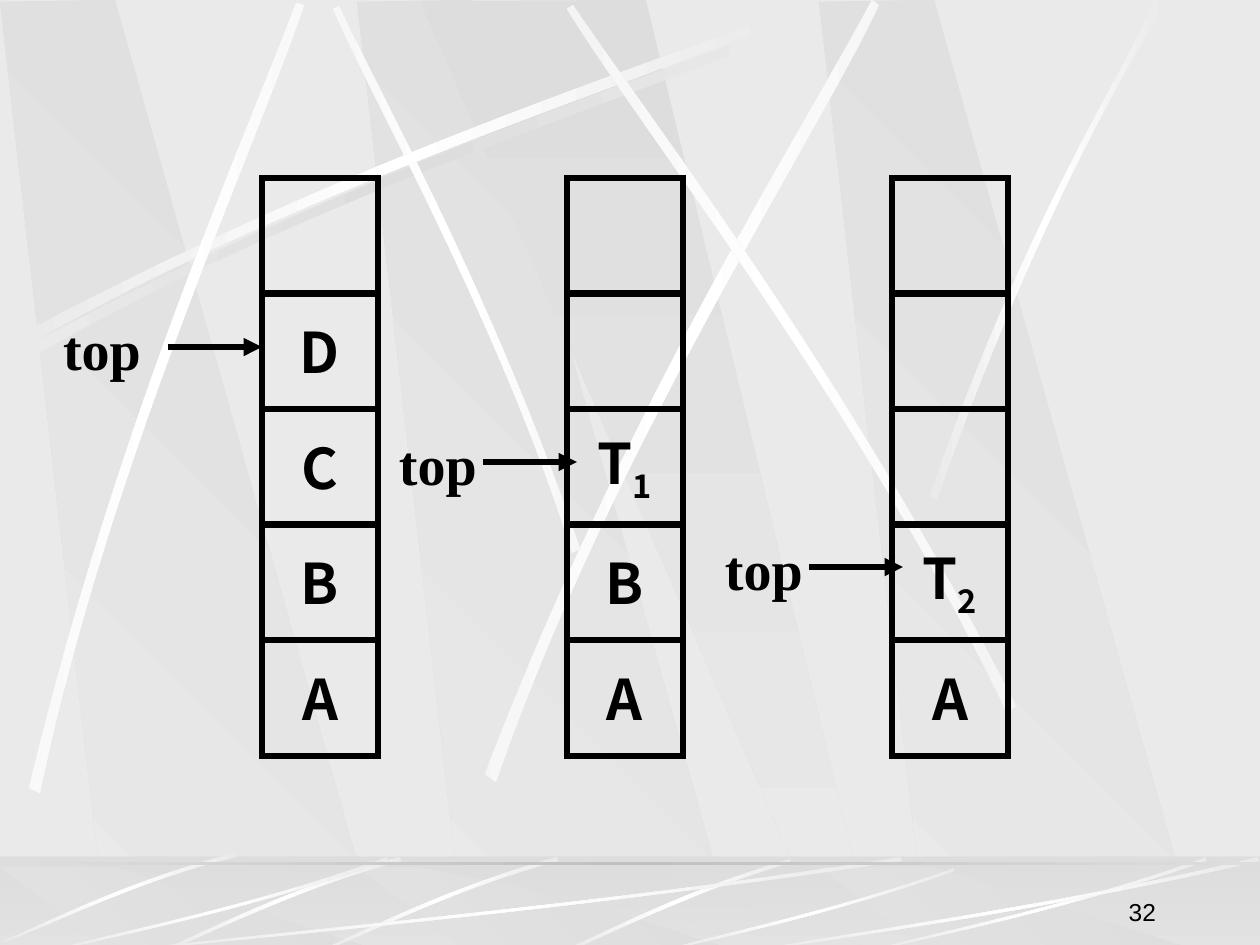
from math import cos, radians, sin

from lxml import etree
from pptx import Presentation
from pptx.dml.color import RGBColor
from pptx.enum.shapes import MSO_CONNECTOR, MSO_SHAPE
from pptx.enum.text import MSO_ANCHOR, PP_ALIGN
from pptx.oxml.ns import qn
from pptx.util import Emu, Pt

RECTANGLE = MSO_SHAPE.RECTANGLE
STRAIGHT = MSO_CONNECTOR.STRAIGHT
LEFT, CENTER, RIGHT = PP_ALIGN.LEFT, PP_ALIGN.CENTER, PP_ALIGN.RIGHT
TOP, MIDDLE, BOTTOM = MSO_ANCHOR.TOP, MSO_ANCHOR.MIDDLE, MSO_ANCHOR.BOTTOM

PX = 914400 / 126
SLIDE_WIDTH, SLIDE_HEIGHT = 1260, 945
BLACK = RGBColor(0x00, 0x00, 0x00)
WHITE = RGBColor(0xFF, 0xFF, 0xFF)
PALE = RGBColor(0xEA, 0xEA, 0xEA)
SHADE = RGBColor(0xDD, 0xDD, 0xDD)
EDGE = RGBColor(0xC0, 0xC0, 0xC0)
LETTER_FONT, LABEL_FONT, NUMBER_FONT = "Noto Sans CJK SC", "Times New Roman", "Arial"
LINE_WIDTH = Pt(3.5)

PANEL_SHIFTS = (357, 0, 819)
WALL_PANEL = [(108, 945), (381, 947), (115, 0), (0, 2)]
WALL_WEDGE = [(420, 1), (829, 946), (874, 946), (646, 0)]
FLOOR_PANEL = [(108, 950), (381, 951), (115, 867), (0, 867)]
FLOOR_WEDGE = [(420, 867), (829, 950), (874, 950), (646, 867)]

BEAM_SHADOW = [(25, 347), (358, 169), (660, 74), (789, 23),
               (793, 30), (665, 87), (320, 190), (29, 359)]
WALL_BEAMS = [
    (45, [(580, 549), (493, 295), (381, 97), (339, 6),
          (333, 9), (372, 100), (501, 325), (572, 553)]),
    (0, [(18, 336), (350, 158), (653, 64), (781, 13),
         (785, 20), (658, 77), (312, 180), (21, 349)]),
    (311.7, [(29, 788), (117, 421), (248, 132), (296, 3),
             (304, 5), (261, 136), (108, 464), (40, 793)]),
    (321.6, [(485, 774), (627, 403), (804, 129), (872, 0),
             (879, 5), (818, 136), (612, 447), (496, 782)]),
    (34.8, [(1016, 706), (844, 369), (650, 120), (573, 5),
            (567, 9), (639, 127), (863, 410), (1007, 713)]),
    (0, [(930, 495), (1026, 218), (1119, 83), (1155, 0),
         (1168, 0), (1053, 183), (969, 406), (937, 500)]),
]
FLOOR_BEAMS = [
    (0, [(790, 859), (677, 893), (601, 935), (564, 950),
         (571, 951), (617, 929), (719, 882), (791, 863)]),
    (314.9, [(557, 857), (447, 888), (362, 932), (323, 949),
             (324, 951), (363, 936), (460, 886), (559, 861)]),
    (314.9, [(399, 857), (290, 888), (204, 932), (165, 949),
             (166, 951), (205, 936), (302, 886), (402, 861)]),
    (314.9, [(234, 853), (125, 882), (42, 925), (3, 941),
             (4, 942), (43, 929), (139, 879), (237, 857)]),
    (0, [(903, 861), (566, 911), (260, 937), (130, 951),
         (126, 950), (255, 934), (605, 905), (900, 857)]),
    (0, [(388, 861), (243, 911), (111, 937), (54, 951),
         (53, 950), (108, 934), (260, 905), (387, 857)]),
    (0, [(955, 871), (829, 915), (714, 939), (665, 951),
         (664, 950), (712, 936), (843, 909), (954, 868)]),
    (0, [(1207, 861), (1062, 911), (930, 937), (873, 951),
         (872, 950), (927, 934), (1079, 905), (1206, 857)]),
    (0, [(1260, 861), (1042, 911), (843, 937), (759, 951),
         (756, 950), (839, 934), (1066, 905), (1257, 857)]),
]

STACK_TOP, STACK_HEIGHT, CELL = 178, 578, 116
STACKS = [
    (262, ["", "D", "C", "B", "A"]),
    (567, ["", "", "T1", "B", "A"]),
    (892, ["", "", "", "T2", "A"]),
]
ARROW_LENGTH = 94
POINTERS = [(63, 168, 347), (399, 483, 462), (725, 809, 567)]


def px(value):
    return Emu(round(value * PX))


def turn(point, degrees):
    x, y = point
    angle = radians(degrees)
    return x * cos(angle) - y * sin(angle), x * sin(angle) + y * cos(angle)


def fill_gradient(shape, colors, angle):
    shape.fill.gradient()
    gradient = shape._element.spPr.find(qn("a:gradFill"))
    gradient.set("rotWithShape", "0")
    stops = gradient.find(qn("a:gsLst"))
    for stop in list(stops):
        stops.remove(stop)
    for index, color in enumerate(colors):
        position = str(100000 * index // (len(colors) - 1))
        stop = etree.SubElement(stops, qn("a:gs"), pos=position)
        etree.SubElement(stop, qn("a:srgbClr"), val=str(color))
    gradient.find(qn("a:lin")).set("ang", str(angle * 60000))
    shape.line.fill.background()
    shape.shadow.inherit = False


def add_outline(slide, points, colors, angle, rotation=0):
    level = [tuple(px(value) for value in turn(point, -rotation)) for point in points]
    builder = slide.shapes.build_freeform(*level[0], scale=1.0)
    builder.add_line_segments(level[1:], close=True)
    shape = builder.convert_to_shape()
    center = (shape.left + shape.width / 2, shape.top + shape.height / 2)
    x, y = turn(center, rotation)
    shape.left, shape.top = round(x - shape.width / 2), round(y - shape.height / 2)
    shape.rotation = rotation
    fill_gradient(shape, colors, angle)
    return shape


def curve_sides(shape):
    segments = list(shape._element.iter(qn("a:lnTo")))
    for side in (segments[:3], segments[4:]):
        curve = etree.Element(qn("a:cubicBezTo"))
        side[0].addprevious(curve)
        for segment in side:
            curve.append(segment[0])
            segment.getparent().remove(segment)


def add_beam(slide, points, rotation=0, middle=WHITE):
    curve_sides(add_outline(slide, points, (PALE, middle, PALE), 180, rotation))


def add_panels(slide, panel, wedge):
    for shift in PANEL_SHIFTS:
        add_outline(slide, [(x + shift, y) for x, y in panel], (SHADE, PALE), 135)
    add_outline(slide, wedge, (SHADE, PALE), 90)


def add_rectangle(slide, left, top, width, height):
    shape = slide.shapes.add_shape(RECTANGLE, px(left), px(top), px(width), px(height))
    shape.shadow.inherit = False
    return shape


def add_band(slide, top, height, colors, angle):
    fill_gradient(add_rectangle(slide, 0, top, SLIDE_WIDTH, height), colors, angle)


def add_veil(slide):
    veil = add_rectangle(slide, 0, 856, SLIDE_WIDTH, 94)
    veil.fill.solid()
    veil.fill.fore_color.rgb = SHADE
    veil.line.fill.background()
    color = veil._element.spPr.find(qn("a:solidFill")).find(qn("a:srgbClr"))
    etree.SubElement(color, qn("a:alpha"), val="50000")


def write_text(frame, text, subscript="", font=LABEL_FONT, size=32, bold=True,
               align=LEFT, anchor=TOP, wrap=True, margins=(0, 0)):
    frame.word_wrap = wrap
    frame.vertical_anchor = anchor
    frame.margin_left = frame.margin_right = px(margins[0])
    frame.margin_top = frame.margin_bottom = px(margins[1])
    paragraph = frame.paragraphs[0]
    paragraph.alignment = align
    for part, baseline in ((text, 0), (subscript, -25000)):
        if part:
            run = paragraph.add_run()
            run.text = part
            run.font.name, run.font.size, run.font.bold = font, Pt(size), bold
            run.font.color.rgb = BLACK
            if baseline:
                run._r.get_or_add_rPr().set("baseline", str(baseline))


def add_label(slide, text, left, top, width, height, **text_format):
    box = slide.shapes.add_textbox(px(left), px(top), px(width), px(height))
    write_text(box.text_frame, text, **text_format)


def add_stack(slide, left, entries):
    for row, entry in enumerate(entries):
        top = STACK_TOP + STACK_HEIGHT * row // len(entries)
        cell = add_rectangle(slide, left, top, CELL, CELL)
        cell.fill.background()
        cell.line.color.rgb = BLACK
        cell.line.width = LINE_WIDTH
        etree.SubElement(cell.line._get_or_add_ln(), qn("a:miter"), lim="800000")
        if entry:
            write_text(cell.text_frame, entry[0], entry[1:], font=LETTER_FONT,
                       align=CENTER, anchor=MIDDLE, wrap=False)


def add_pointer(slide, label_left, arrow_left, y):
    arrow = slide.shapes.add_connector(
        STRAIGHT, px(arrow_left), px(y), px(arrow_left + ARROW_LENGTH), px(y))
    arrow.line.color.rgb = BLACK
    arrow.line.width = LINE_WIDTH
    etree.SubElement(arrow.line._get_or_add_ln(), qn("a:tailEnd"), type="triangle")
    etree.SubElement(arrow._element.spPr, qn("a:effectLst"))
    add_label(slide, "top", label_left, y - 32, 84, 74)


def add_backdrop(slide):
    slide.background.fill.solid()
    slide.background.fill.fore_color.rgb = PALE
    add_panels(slide, WALL_PANEL, WALL_WEDGE)
    add_beam(slide, BEAM_SHADOW, middle=SHADE)
    for rotation, points in WALL_BEAMS:
        add_beam(slide, points, rotation)
    add_band(slide, 857, 94, (SHADE, PALE), 90)
    add_panels(slide, FLOOR_PANEL, FLOOR_WEDGE)
    add_veil(slide)
    for rotation, points in FLOOR_BEAMS:
        add_beam(slide, points, rotation)
    add_band(slide, 862, 3, (SHADE, EDGE, SHADE), 180)


def main():
    presentation = Presentation()
    presentation.slide_width, presentation.slide_height = px(SLIDE_WIDTH), px(SLIDE_HEIGHT)
    slide = presentation.slides.add_slide(presentation.slide_layouts[6])
    add_backdrop(slide)
    for left, entries in STACKS:
        add_stack(slide, left, entries)
    for pointer in POINTERS:
        add_pointer(slide, *pointer)
    add_label(slide, "32", 907, 869, 262, 63, font=NUMBER_FONT, size=14, bold=False,
              align=RIGHT, anchor=BOTTOM, margins=(13, 6))
    presentation.save("out.pptx")


if __name__ == "__main__":
    main()
